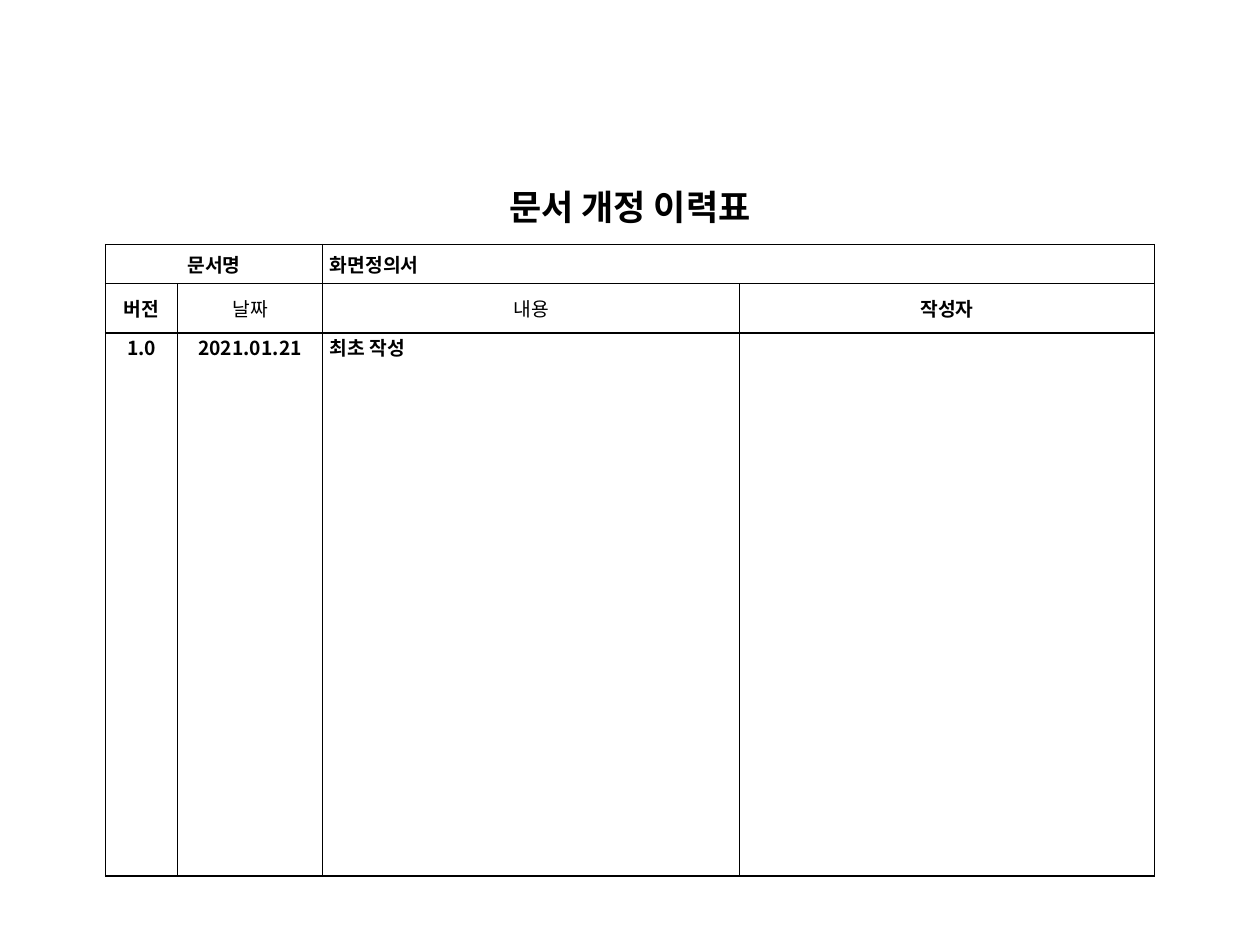
"""Builds the document revision history slide."""
from dataclasses import dataclass

from lxml import etree
from pptx import Presentation
from pptx.dml.color import RGBColor
from pptx.enum.text import MSO_ANCHOR, PP_ALIGN
from pptx.oxml.ns import qn
from pptx.util import Cm, Pt

CENTER, JUSTIFY = PP_ALIGN.CENTER, PP_ALIGN.JUSTIFY
TOP, MIDDLE, BOTTOM = MSO_ANCHOR.TOP, MSO_ANCHOR.MIDDLE, MSO_ANCHOR.BOTTOM


@dataclass(frozen=True)
class Theme:
    font: str = "Noto Sans CJK KR"
    ink: str = "000000"
    paper: str = "FFFFFF"
    title_size: int = 20
    body_size: int = 11
    rule_width: int = 1


THEME = Theme()
COLUMN_WIDTHS = (1.45, 2.92, 8.41, 8.36)
ROW_HEIGHTS = (2.59, 0.79, 0.99, 10.95)
HEADINGS = (("버전", True), ("날짜", False), ("내용", False), ("작성자", True))
REVISION = (("1.0", CENTER), ("2021.01.21", CENTER), ("최초 작성", JUSTIFY), ("", JUSTIFY))


def add_history_table(slide):
    size = Cm(sum(COLUMN_WIDTHS)), Cm(sum(ROW_HEIGHTS))
    history = slide.shapes.add_table(
        len(ROW_HEIGHTS), len(COLUMN_WIDTHS), Cm(2.13), Cm(2.34), *size).table
    history.first_row = history.horz_banding = False
    for column, width in zip(history.columns, COLUMN_WIDTHS):
        column.width = Cm(width)
    for row, height in zip(history.rows, ROW_HEIGHTS):
        row.height = Cm(height)
    return history


def rule_cell(cell, is_title):
    properties = cell._tc.get_or_add_tcPr()
    for side in ("lnL", "lnR", "lnT", "lnB"):
        line = etree.SubElement(properties, qn(f"a:{side}"), w=str(Pt(THEME.rule_width)))
        fill = etree.SubElement(line, qn("a:solidFill"))
        color = THEME.paper if is_title and side != "lnB" else THEME.ink
        etree.SubElement(fill, qn("a:srgbClr"), val=color)
    cell.fill.background()


def write_cell(cell, text, align=CENTER, anchor=MIDDLE, bold=True, size=THEME.body_size):
    cell.margin_left = cell.margin_right = Cm(0.15)
    cell.margin_top = cell.margin_bottom = 0
    cell.vertical_anchor = anchor
    cell.text = text
    paragraph = cell.text_frame.paragraphs[0]
    paragraph.alignment = align
    font = paragraph.font
    font.name, font.size, font.bold = THEME.font, Pt(size), bold
    font.color.rgb = RGBColor.from_string(THEME.ink)
    etree.SubElement(font._element, qn("a:ea"), typeface=THEME.font)


def main():
    deck = Presentation()
    deck.slide_width, deck.slide_height = Cm(25.4), Cm(19.05)
    slide = deck.slides.add_slide(deck.slide_layouts[6])
    history = add_history_table(slide)
    for row_index, row in enumerate(history.rows):
        for cell in row.cells:
            rule_cell(cell, is_title=row_index == 0)

    title = history.cell(0, 0)
    title.merge(history.cell(0, 3))
    write_cell(title, "문서 개정 이력표", anchor=BOTTOM, size=THEME.title_size)
    title.margin_bottom = Cm(0.28)

    name_label, name = history.cell(1, 0), history.cell(1, 2)
    name_label.merge(history.cell(1, 1))
    name.merge(history.cell(1, 3))
    write_cell(name_label, "문서명")
    write_cell(name, "화면정의서", JUSTIFY)

    for column, (heading, bold) in enumerate(HEADINGS):
        write_cell(history.cell(2, column), heading, bold=bold)
    for column, (entry, align) in enumerate(REVISION):
        write_cell(history.cell(3, column), entry, align, TOP)
    deck.save("out.pptx")


if __name__ == "__main__":
    main()
